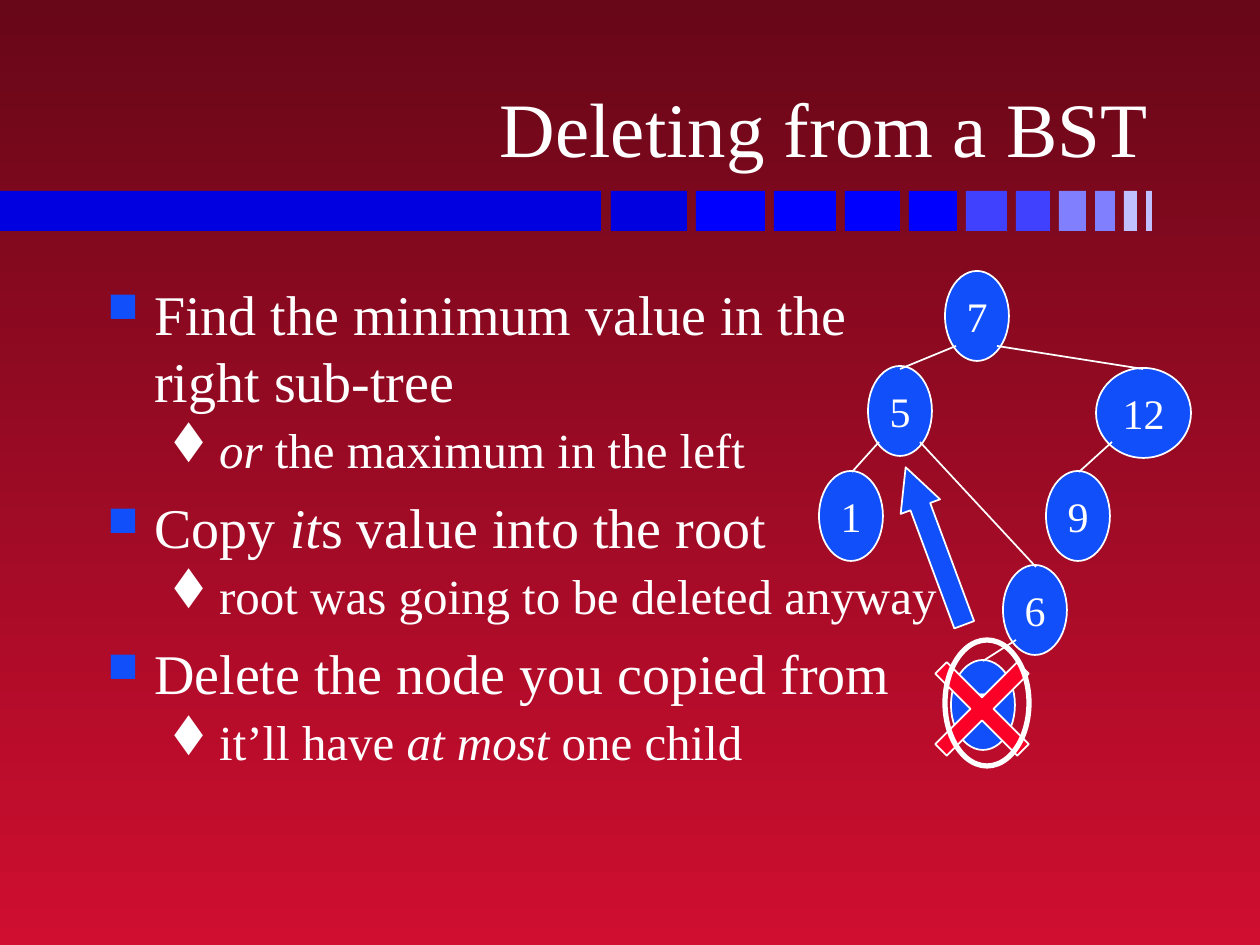
from dataclasses import dataclass
from lxml.etree import SubElement as Sub
from pptx import Presentation
from pptx.dml.color import RGBColor as Rgb
from pptx.enum.shapes import MSO_CONNECTOR as Conn, MSO_SHAPE as Kind
from pptx.enum.text import MSO_ANCHOR as Anchor, MSO_AUTO_SIZE as Fit, PP_ALIGN as Align
from pptx.oxml.ns import qn
from pptx.util import Emu, Pt


@dataclass(frozen=True)
class Theme:
    font: str = "Times New Roman"
    marks: str = "Wingdings"
    white: str = "FFFFFF"
    blue: str = "114FFB"
    red: str = "FC0128"
    top: str = "670718"
    base: str = "CF0E30"
    head: int = 44
    main: int = 32
    sub: int = 28
    node: int = 24


@dataclass(frozen=True)
class Level:
    size: int
    left: int
    hang: int
    mark: str
    tint: str
    scale: int
    gap: float


T = Theme()
LEVELS = (
    Level(T.main, 47, 47, "n", T.blue, 75, 8),
    Level(T.sub, 102, 39, "t", T.white, 100, 3.5),
)
BARS = ["0000E0"] + ["0000FF"] * 4 + ["4040FF"] * 2 + ["8080FF"] * 2 + ["C0C0FF"] * 2
POINTS = [
    (0, [("Find the minimum value in the\nright sub-tree", False)]),
    (1, [("or", True), (" the maximum in the left", False)]),
    (0, [("Copy ", False), ("it", True), ("s value into the root", False)]),
    (1, [("root was going to be deleted anyway", False)]),
    (0, [("Delete the node you copied from", False)]),
    (1, [("it’ll have ", False), ("at most", True), (" one child", False)]),
]
NODES = [
    ("7", 945, 271, 64), ("6", 1003, 565, 64), ("1", 819, 471, 64),
    ("5", 951, 660, 64), ("12", 1096, 368, 95), ("9", 1046, 471, 64),
    ("5", 868, 366, 64),
]
EDGES = [
    (956, 346, 900, 369), (920, 442, 1036, 567), (879, 442, 852, 472),
    (1016, 640, 983, 661), (997, 346, 1143, 369), (1112, 442, 1079, 472),
]


def px(num):
    return Emu(round(num * 914400 / 126))


def put(run, size, slant=False):
    font = run.font
    font.name, font.size, font.italic = T.font, Pt(size), slant
    font.color.rgb = Rgb.from_string(T.white)


def shape(slide, kind, box, fill=None, line=0, turn=0, adj=()):
    item = slide.shapes.add_shape(kind, *map(px, box))
    item.shadow.inherit = False
    item.rotation = turn
    for pos, val in enumerate(adj):
        item.adjustments[pos] = val
    if fill:
        item.fill.solid()
        item.fill.fore_color.rgb = Rgb.from_string(fill)
    else:
        item.fill.background()
    if line:
        item.line.color.rgb = Rgb.from_string(T.white)
        item.line.width = Pt(line)
    else:
        item.line.fill.background()
    return item


def node(slide, text, left, top, wide):
    item = shape(slide, Kind.OVAL, (left, top, wide, 90), T.blue, 1)
    frame = item.text_frame
    frame.word_wrap = False
    frame.auto_size = Fit.SHAPE_TO_FIT_TEXT
    frame.vertical_anchor = Anchor.MIDDLE
    para = frame.paragraphs[0]
    para.alignment = Align.RIGHT
    run = para.add_run()
    run.text = text
    put(run, T.node)


def edge(slide, ends):
    item = slide.shapes.add_connector(Conn.STRAIGHT, *map(px, ends))
    item.line.color.rgb = Rgb.from_string(T.white)
    item.line.width = Pt(1)
    Sub(item._element.spPr, qn("a:effectLst"))


def title(slide, text):
    item = slide.shapes.title
    item.left, item.top, item.width, item.height = map(px, (93, 24, 1068, 155))
    frame = item.text_frame
    frame.word_wrap = True
    frame.auto_size = Fit.NONE
    frame.vertical_anchor = Anchor.BOTTOM
    para = frame.paragraphs[0]
    para.alignment = Align.RIGHT
    run = para.add_run()
    run.text = text
    put(run, T.head)


def bullet(para, level):
    props = para._p.get_or_add_pPr()
    props.set("marL", str(px(level.left)))
    props.set("indent", str(-px(level.hang)))
    Sub(Sub(props, qn("a:buClr")), qn("a:srgbClr")).set("val", level.tint)
    Sub(props, qn("a:buSzPct")).set("val", str(level.scale * 1000))
    face = Sub(props, qn("a:buFont"))
    face.set("typeface", T.marks)
    face.set("pitchFamily", "2")
    face.set("charset", "2")
    Sub(props, qn("a:buChar")).set("char", level.mark)


def body(slide, points):
    frame = slide.shapes.add_textbox(*map(px, (95, 273, 1071, 567))).text_frame
    frame.word_wrap = True
    for pos, (depth, parts) in enumerate(points):
        para = frame.add_paragraph() if pos else frame.paragraphs[0]
        level = LEVELS[depth]
        para.level = depth
        bullet(para, level)
        if pos:
            para.space_before = Pt(level.gap)
        for text, slant in parts:
            for row, line in enumerate(text.split("\n")):
                if row:
                    para.add_line_break()
                run = para.add_run()
                run.text = line
                put(run, level.size, slant)


def band(slide):
    shape(slide, Kind.RECTANGLE, (0, 191, 601, 40), "0000E0")
    left, wide = 611, 76
    for tint in BARS:
        shape(slide, Kind.RECTANGLE, (left, 191, wide, 40), tint)
        left += wide + 9
        wide -= 7


def back(slide):
    fill = slide.background.fill
    fill.gradient()
    fill.gradient_angle = 270
    for stop, tint in zip(fill.gradient_stops, (T.top, T.base)):
        stop.color.rgb = Rgb.from_string(tint)


def main():
    deck = Presentation()
    deck.slide_width, deck.slide_height = px(1260), px(945)
    slide = deck.slides.add_slide(deck.slide_layouts[5])
    back(slide)
    band(slide)
    title(slide, "Deleting from a BST")
    body(slide, POINTS)
    for item in NODES:
        node(slide, *item)
    for ends in EDGES:
        edge(slide, ends)
    shape(slide, Kind.CROSS, (924, 651, 116, 116), T.red, 1, 45, [0.43])
    shape(slide, Kind.OVAL, (945, 640, 84, 126), None, 3)
    shape(slide, Kind.UP_ARROW, (914, 462, 42, 168), T.blue, 1, 339.6, [0.5, 1])
    deck.save("out.pptx")


if __name__ == "__main__":
    main()
